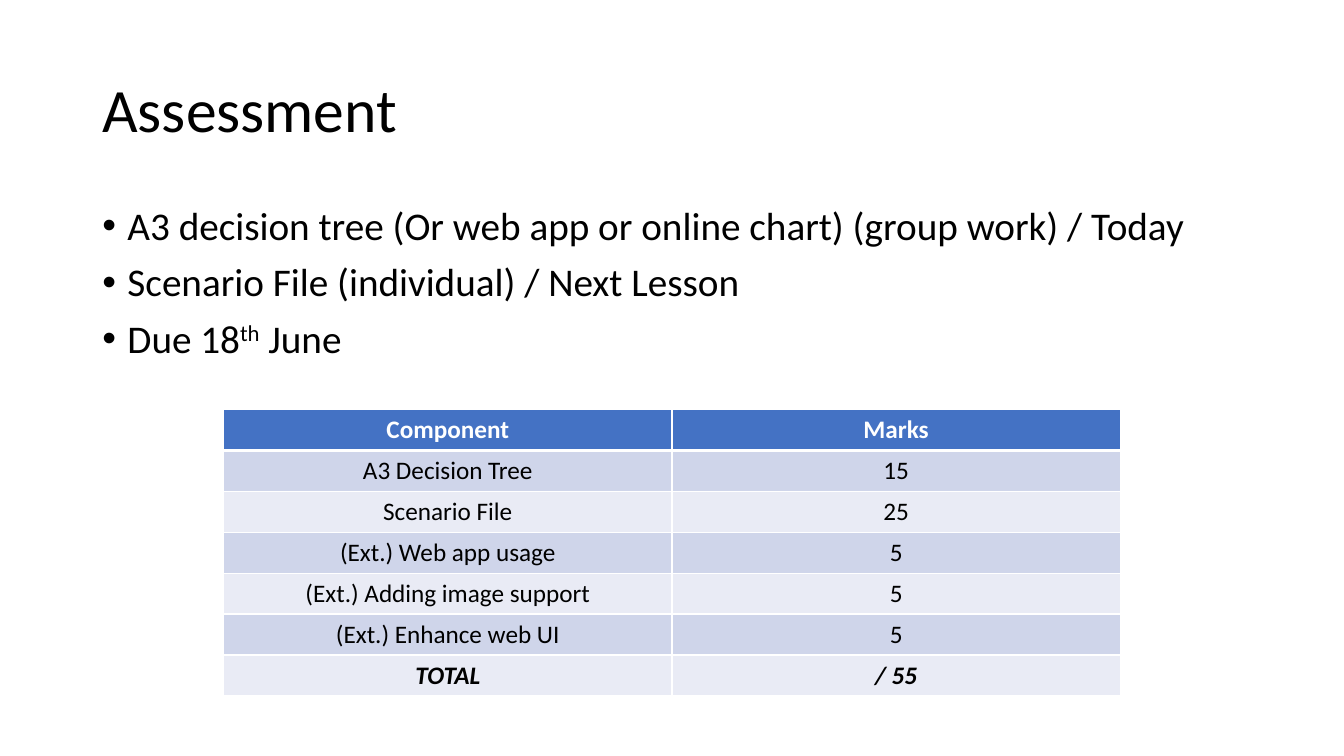
from dataclasses import dataclass

from lxml.etree import SubElement
from pptx import Presentation
from pptx.dml.color import RGBColor
from pptx.enum.text import MSO_ANCHOR, PP_ALIGN
from pptx.oxml.ns import qn
from pptx.slide import Slide
from pptx.table import _Cell
from pptx.text.text import TextFrame, _Paragraph, _Run
from pptx.util import Emu, Pt


@dataclass(frozen=True)
class Theme:
    font: str = "Calibri"
    dot_font: str = "Arial"
    ink: str = "000000"
    paper: str = "FFFFFF"
    head: str = "4472C4"
    bands: tuple[str, str] = ("CFD5EA", "E9EBF5")
    title: int = 44
    body: int = 28
    grid: int = 18
    thin: int = 1
    thick: int = 3


@dataclass(frozen=True)
class Box:
    left: int
    top: int
    width: int
    height: int


@dataclass(frozen=True)
class Mark:
    name: str
    score: str


THEME = Theme()
PAGE = Box(0, 0, 1280, 720)
TITLE = Box(88, 38, 1104, 139)
BODY = Box(88, 192, 1104, 457)
GRID = Box(213, 390, 854, 273)
INDENT = 24
POINTS = [
    ["A3 decision tree (Or web app or online chart) (group work) / Today"],
    ["Scenario File (individual) / Next Lesson"],
    ["Due 18", "th", " June"],
]
MARKS = [
    Mark("Component", "Marks"),
    Mark("A3 Decision Tree", "15"),
    Mark("Scenario File", "25"),
    Mark("(Ext.) Web app usage", "5"),
    Mark("(Ext.) Adding image support", "5"),
    Mark("(Ext.) Enhance web UI", "5"),
    Mark("TOTAL", "/ 55"),
]


def px(count: int) -> Emu:
    return Emu(count * 9525)


def place(box: Box) -> tuple[Emu, Emu, Emu, Emu]:
    return px(box.left), px(box.top), px(box.width), px(box.height)


def style(run: _Run, size: int, tint: str = THEME.ink) -> None:
    run.font.name = THEME.font
    run.font.size = Pt(size)
    run.font.color.rgb = RGBColor.from_string(tint)


def add_text(slide: Slide, box: Box) -> TextFrame:
    frame = slide.shapes.add_textbox(*place(box)).text_frame
    frame.word_wrap = True
    return frame


def add_title(slide: Slide, text: str) -> None:
    frame = add_text(slide, TITLE)
    frame.vertical_anchor = MSO_ANCHOR.MIDDLE
    frame.text = text
    line = frame.paragraphs[0]
    line.line_spacing = 0.9
    style(line.runs[0], THEME.title)


def add_dot(line: _Paragraph) -> None:
    props = line._p.get_or_add_pPr()
    props.set("marL", str(px(INDENT)))
    props.set("indent", str(px(-INDENT)))
    SubElement(props, qn("a:buFont"), typeface=THEME.dot_font)
    SubElement(props, qn("a:buChar"), char="•")


def add_points(slide: Slide) -> None:
    frame = add_text(slide, BODY)
    for index, parts in enumerate(POINTS):
        line = frame.add_paragraph() if index else frame.paragraphs[0]
        line.line_spacing = 0.9
        line.space_before = Pt(10)
        add_dot(line)
        for part in parts:
            run = line.add_run()
            run.text = part
            style(run, THEME.body)
            if part == "th":
                run.font._element.set("baseline", "30000")


def edge(cell: _Cell, side: str, width: int) -> None:
    props = cell._tc.get_or_add_tcPr()
    line = SubElement(props, qn(f"a:{side}"), w=str(Pt(width)))
    fill = SubElement(line, qn("a:solidFill"))
    SubElement(fill, qn("a:srgbClr"), val=THEME.paper)


def fill_cell(cell: _Cell, text: str, row: int) -> None:
    head, total = row == 0, row == len(MARKS) - 1
    thick = {(0, "lnB"), (1, "lnT")}
    for side in ("lnL", "lnR", "lnT", "lnB"):
        edge(cell, side, THEME.thick if (row, side) in thick else THEME.thin)
    cell.fill.solid()
    tint = THEME.head if head else THEME.bands[(row - 1) % 2]
    cell.fill.fore_color.rgb = RGBColor.from_string(tint)
    cell.text_frame.text = text
    line = cell.text_frame.paragraphs[0]
    line.alignment = PP_ALIGN.CENTER
    run = line.runs[0]
    style(run, THEME.grid, THEME.paper if head else THEME.ink)
    run.font.bold = head or total
    run.font.italic = total


def add_grid(slide: Slide) -> None:
    table = slide.shapes.add_table(len(MARKS), 2, *place(GRID)).table
    table.horz_banding = False
    for row, mark in enumerate(MARKS):
        for col, text in enumerate((mark.name, mark.score)):
            fill_cell(table.cell(row, col), text, row)


def main() -> None:
    """Build the assessment slide and save it."""
    deck = Presentation()
    deck.slide_width, deck.slide_height = px(PAGE.width), px(PAGE.height)
    slide = deck.slides.add_slide(deck.slide_layouts[6])
    add_title(slide, "Assessment")
    add_points(slide)
    add_grid(slide)
    deck.save("out.pptx")


if __name__ == "__main__":
    main()
